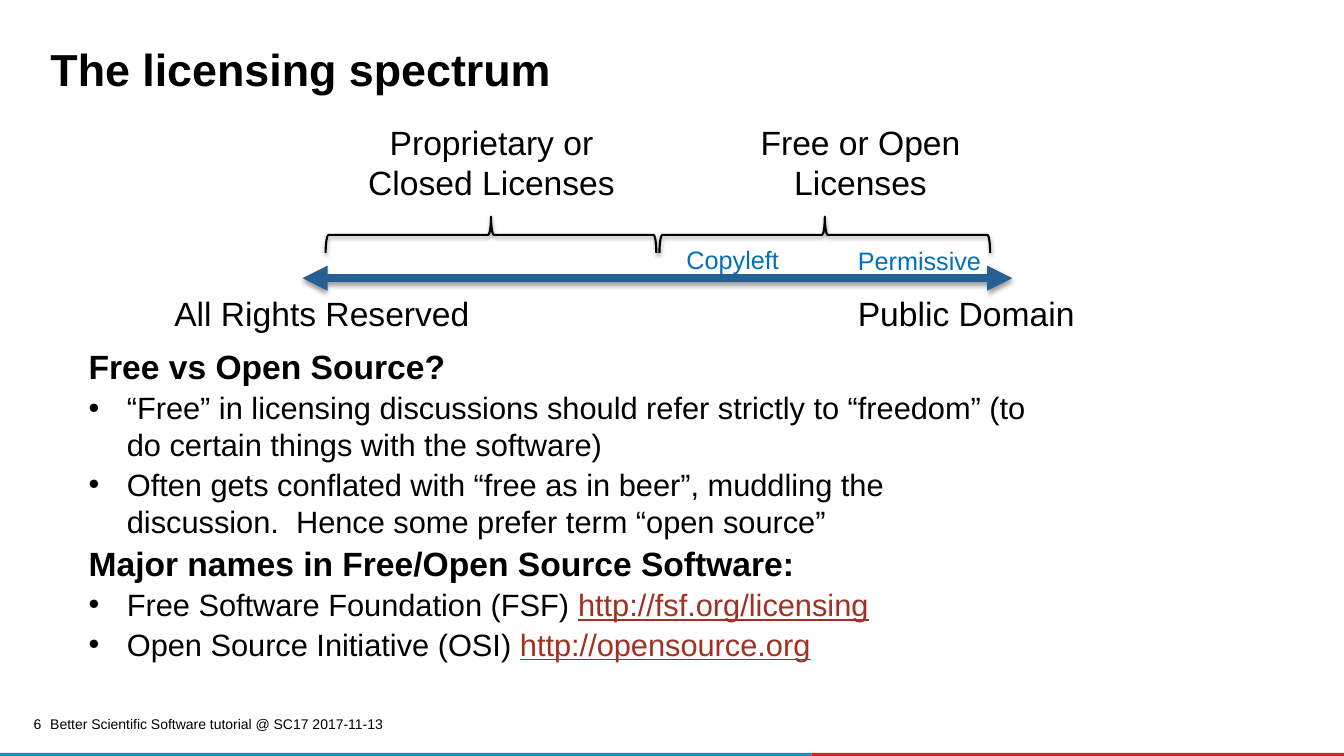
from dataclasses import dataclass

from lxml.etree import SubElement
from pptx import Presentation
from pptx.dml.color import RGBColor
from pptx.enum.shapes import MSO_CONNECTOR, MSO_SHAPE
from pptx.enum.text import MSO_ANCHOR, MSO_AUTO_SIZE, PP_ALIGN
from pptx.oxml.ns import qn
from pptx.util import Inches, Pt


@dataclass(frozen=True)
class Theme:
    font: str = "Arial"
    ink: str = "000000"
    arrow: str = "266092"
    category: str = "0070B9"
    link: str = "A03123"
    blue_band: str = "1B8DC3"
    red_band: str = "DA1F28"
    title: int = 32
    heading: int = 24
    body: int = 22
    label: int = 18
    footer: int = 10


THEME = Theme()
WIDTH, HEIGHT = Inches(13.33), Inches(7.5)
INDENT = Inches(0.38)

EXTREMES = [("All Rights Reserved", 12.23, 23.71), ("Public Domain", 63.09, 20.33)]
FAMILIES = [
    ("Proprietary or Closed Licenses", 24.9, 23.33),
    ("Free or Open Licenses", 54.16, 19.73),
]
CATEGORIES = [("Copyleft", 50.34, 31.6, 8.48), ("Permissive", 63.09, 31.73, 10.8)]
BRACE_LEFTS = (35.18, 60.02)
BANDS = [(0, 60.37, THEME.blue_band), (60.37, 39.63, THEME.red_band)]
TOPICS = [
    ("Free vs Open Source?", [
        ("“Free” in licensing discussions should refer strictly to “freedom” "
         "(to do certain things with the software)", ""),
        ("Often gets conflated with “free as in beer”, muddling the discussion.  "
         "Hence some prefer term “open source”", ""),
    ]),
    ("Major names in Free/Open Source Software:", [
        ("Free Software Foundation (FSF) ", "http://fsf.org/licensing"),
        ("Open Source Initiative (OSI) ", "http://opensource.org"),
    ]),
]


def across(percent):
    return round(WIDTH * percent / 100)


def down(percent):
    return round(HEIGHT * percent / 100)


def area(left, top, width, height):
    return across(left), down(top), across(width), down(height)


def style(run, size, color=THEME.ink, bold=False, underline=False):
    run.font.name = THEME.font
    run.font.size = Pt(size)
    run.font.color.rgb = RGBColor.from_string(color)
    run.font.bold = bold
    run.font.underline = underline


def add_label(slide, text, place, size, color=THEME.ink,
              align=PP_ALIGN.LEFT, wrap=True):
    label = slide.shapes.add_textbox(*area(*place))
    frame = label.text_frame
    frame.word_wrap = wrap
    frame.text = text
    frame.paragraphs[0].alignment = align
    style(frame.paragraphs[0].runs[0], size, color)
    return frame


def add_shadow(element):
    effects = SubElement(element._element.spPr, qn("a:effectLst"))
    shadow = SubElement(effects, qn("a:outerShdw"), blurRad="40000",
                        dist="20000", dir="5400000", rotWithShape="0")
    black = SubElement(shadow, qn("a:srgbClr"), val=THEME.ink)
    SubElement(black, qn("a:alpha"), val="38000")


def add_title(slide, text):
    title = slide.shapes.title
    title.left, title.top, title.width, title.height = area(3, 6, 93.32, 7.47)
    frame = title.text_frame
    frame.text = text
    frame.auto_size = MSO_AUTO_SIZE.NONE
    frame.vertical_anchor = MSO_ANCHOR.TOP
    heading = frame.paragraphs[0]
    heading.alignment = PP_ALIGN.LEFT
    heading.line_spacing = 0.85
    style(heading.runs[0], THEME.title, bold=True)


def add_band(slide, left, width, color):
    band = slide.shapes.add_shape(MSO_SHAPE.RECTANGLE, *area(left, 99.6, width, 0.4))
    band.shadow.inherit = False
    band.fill.solid()
    band.fill.fore_color.rgb = RGBColor.from_string(color)
    band.line.fill.background()


def add_footer(slide):
    for band in BANDS:
        add_band(slide, *band)
    event = add_label(slide, "Better Scientific Software tutorial @ SC17 2017-11-13",
                      (3, 94.4, 27.23, 2.67), THEME.footer)
    event.vertical_anchor = MSO_ANCHOR.MIDDLE
    number = add_label(slide, "6", (1.35, 94.93, 1.73, 2.27), THEME.footer,
                       align=PP_ALIGN.RIGHT)
    number.margin_left = number.margin_right = 0
    number.margin_top = number.margin_bottom = 0
    number.paragraphs[0].line_spacing = 0.9


def add_brace(slide, left):
    brace = slide.shapes.add_shape(MSO_SHAPE.LEFT_BRACE, *area(left, 9.2, 2.7, 43.73))
    brace.rotation = 90
    brace.adjustments[0] = 0.08
    brace.adjustments[1] = 0.5
    brace.fill.background()
    brace.line.color.rgb = RGBColor.from_string(THEME.ink)
    brace.line.width = Pt(1.5)
    add_shadow(brace)


def add_double_arrow(slide, start, end, level):
    arrow = slide.shapes.add_connector(MSO_CONNECTOR.STRAIGHT, across(start),
                                       down(level), across(end), down(level))
    arrow.line.color.rgb = RGBColor.from_string(THEME.arrow)
    arrow.line.width = Pt(6)
    outline = arrow.line._get_or_add_ln()
    for tip in ("a:headEnd", "a:tailEnd"):
        SubElement(outline, qn(tip), type="triangle")
    add_shadow(arrow)


def add_spectrum(slide):
    for text, left, width in EXTREMES:
        add_label(slide, text, (left, 38.13, width, 6.67), THEME.heading, wrap=False)
    add_double_arrow(slide, 22.5, 75.32, 36.8)
    for left in BRACE_LEFTS:
        add_brace(slide, left)
    for text, left, width in FAMILIES:
        add_label(slide, text, (left, 15.47, width, 12.13), THEME.heading,
                  align=PP_ALIGN.CENTER)
    for text, left, top, width in CATEGORIES:
        add_label(slide, text, (left, top, width, 5.33), THEME.label,
                  THEME.category, wrap=False)


def add_bullet(frame, text, address):
    point = frame.add_paragraph()
    point.text = text
    point.space_before = Pt(2)
    properties = point._p.get_or_add_pPr()
    properties.set("marL", str(INDENT))
    properties.set("indent", str(-INDENT))
    SubElement(properties, qn("a:buFont"), typeface=THEME.font)
    SubElement(properties, qn("a:buChar"), char="•")
    style(point.runs[0], THEME.body)
    if address:
        link = point.add_run()
        link.text = address
        style(link, THEME.body, THEME.link, underline=True)


def add_topics(slide):
    frame = slide.shapes.add_textbox(*area(5.85, 45.1, 72.47, 43.6)).text_frame
    frame.word_wrap = True
    for index, (topic, points) in enumerate(TOPICS):
        heading = frame.add_paragraph() if index else frame.paragraphs[0]
        heading.text = topic
        if index:
            heading.space_before = Pt(2)
        style(heading.runs[0], THEME.heading, bold=True)
        for text, address in points:
            add_bullet(frame, text, address)


def main():
    deck = Presentation()
    deck.slide_width, deck.slide_height = WIDTH, HEIGHT
    slide = deck.slides.add_slide(deck.slide_layouts[5])
    add_footer(slide)
    add_title(slide, "The licensing spectrum")
    add_spectrum(slide)
    add_topics(slide)
    deck.save("out.pptx")


if __name__ == "__main__":
    main()
